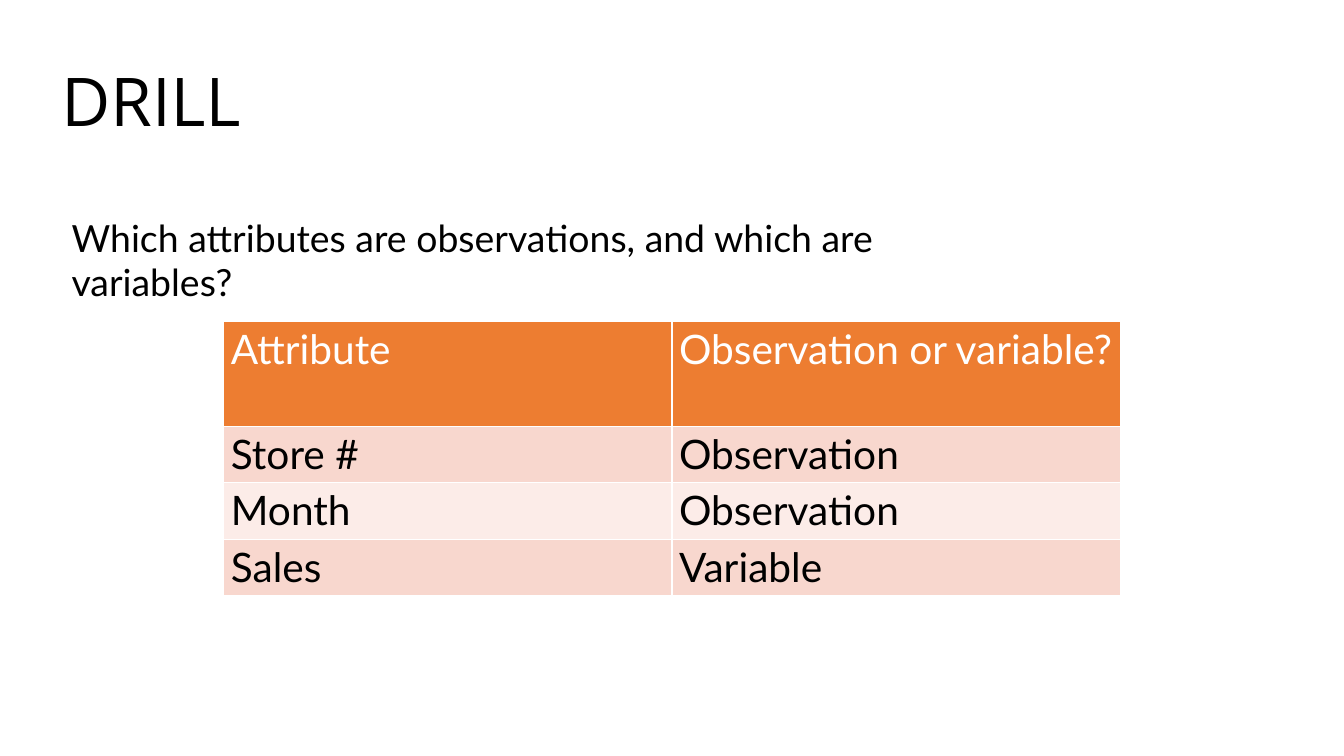
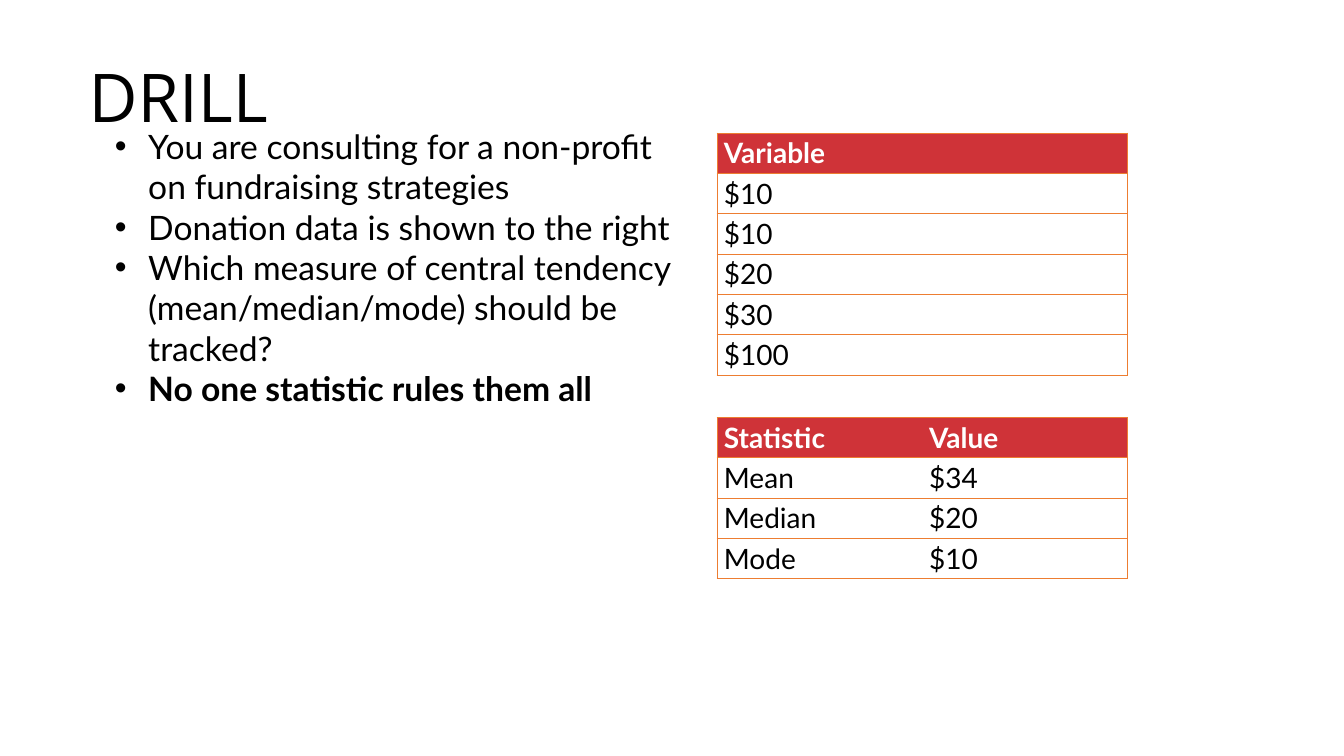
import pptx
import pptx.dml.color
import pptx.enum.text
import pptx.oxml
import pptx.oxml.ns
import pptx.util

# Shared style: 100 px to the inch
PX = 9144
BLACK, WHITE = "000000", "FFFFFF"
ORANGE, RED = "ED7D31", "CF3338"
BANDS = ("F8D7CE", "FCECE8")
HEAD_FONT, BODY_FONT = "Open Sans", "Lato"

# Content; boxes are left, top, width, height
QUESTION = ["Which attributes are observations, and which are variables?"]
POINTS = [
    "You are consulting for a non-profit on fundraising strategies",
    "Donation data is shown to the right",
    "Which measure of central tendency (mean/median/mode) should be tracked?",
    "No one statistic rules them all",
]
ATTRIBUTES = [
    ("Attribute", "Observation or variable?"),
    ("Store #", "Observation"),
    ("Month", "Observation"),
    ("Sales", "Variable"),
]
DONATIONS = [("Variable",), ("$10",), ("$10",), ("$20",), ("$30",), ("$100",)]
STATISTICS = [
    ("Statistic", "Value"),
    ("Mean", "$34"),
    ("Median", "$20"),
    ("Mode", "$10"),
]
BANDED = dict(size=29, head_fill=ORANGE, bands=BANDS, line=WHITE, weight=1,
              inner=True, head_bold=False)
RULED = dict(size=20, head_fill=RED, bands=None, line=ORANGE, weight=0.5,
             inner=False, head_bold=True)


def px(n):
    return pptx.util.Emu(round(n * PX))


def rgb(value):
    return pptx.dml.color.RGBColor.from_string(value)


def style(p, font, size, color=BLACK, bold=False):
    for r in p.runs:
        r.font.name = font
        r.font.size = pptx.util.Pt(size)
        r.font.color.rgb = rgb(color)
        r.font.bold = bold


def place(sp, box, inset=(0, 0)):
    sp.left, sp.top, sp.width, sp.height = map(px, box)
    tf = sp.text_frame
    tf.margin_left = tf.margin_right = px(inset[0])
    tf.margin_top = tf.margin_bottom = px(inset[1])
    tf.vertical_anchor = pptx.enum.text.MSO_ANCHOR.TOP
    tf.auto_size = pptx.enum.text.MSO_AUTO_SIZE.NONE
    tf.word_wrap = True
    return tf


def add_slide(prs, title_box):
    slide = prs.slides.add_slide(prs.slide_layouts[1])
    tf = place(slide.shapes.title, title_box)
    tf.text = "DRILL"
    p = tf.paragraphs[0]
    p.alignment = pptx.enum.text.PP_ALIGN.LEFT
    p.line_spacing = pptx.util.Pt(67.2)
    style(p, HEAD_FONT, 48)
    return slide


def fill_body(slide, box, lines, size, inset=(0, 0), bullets=True, bold_last=False):
    tf = place(slide.placeholders[1], box, inset)
    tf.text = "\n".join(lines)
    for p in tf.paragraphs:
        pPr = p._p.get_or_add_pPr()
        pPr.set("marL", str(px(59 if bullets else 0)))
        pPr.set("indent", str(px(-33 if bullets else 0)))
        if not bullets:
            pPr.append(pptx.oxml.parse_xml(
                f'<a:buNone {pptx.oxml.ns.nsdecls("a")}/>'))
        p.space_before = pptx.util.Pt(0)
        style(p, BODY_FONT, size)
    if bold_last:
        style(tf.paragraphs[-1], BODY_FONT, size, bold=True)


def border(cell, side, color, weight):
    paint = f'<a:solidFill><a:srgbClr val="{color}"/></a:solidFill>' if color else "<a:noFill/>"
    cell._tc.get_or_add_tcPr().append(pptx.oxml.parse_xml(
        f'<a:ln{side} {pptx.oxml.ns.nsdecls("a")} w="{pptx.util.Pt(weight)}">{paint}</a:ln{side}>'))


def add_table(slide, left, top, width, heights, rows, look):
    cols = len(rows[0])
    table = slide.shapes.add_table(len(rows), cols, px(left), px(top),
                                   px(width), px(sum(heights))).table
    table.horz_banding = False
    for i, texts in enumerate(rows):
        table.rows[i].height = px(heights[i])
        for j, text in enumerate(texts):
            cell = table.cell(i, j)
            cell.margin_left = cell.margin_right = px(7)
            cell.margin_top = cell.margin_bottom = px(3)
            # Outer edges and row rules always show; column rules are optional
            shown = {"L": look["inner"] or j == 0,
                     "R": look["inner"] or j == cols - 1,
                     "T": True, "B": True}
            for side, on in shown.items():
                border(cell, side, look["line"] if on else None, look["weight"])
            head = i == 0
            bands = look["bands"]
            fill = look["head_fill"] if head else bands and bands[(i - 1) % len(bands)]
            if fill:
                cell.fill.solid()
                cell.fill.fore_color.rgb = rgb(fill)
            else:
                cell.fill.background()
            cell.text_frame.text = text
            style(cell.text_frame.paragraphs[0], BODY_FONT, look["size"],
                  WHITE if head else BLACK, head and look["head_bold"])


def main():
    prs = pptx.Presentation()
    prs.slide_width, prs.slide_height = px(1333), px(750)

    # Observations and variables
    slide = add_slide(prs, (61, 45, 1140, 86))
    fill_body(slide, (61, 208, 939, 100), QUESTION, 26.7, inset=(10, 5), bullets=False)
    add_table(slide, 222, 319, 889, [104, 56, 56, 56], ATTRIBUTES, BANDED)

    # Central tendency
    slide = add_slide(prs, (88, 42, 233, 86))
    fill_body(slide, (88, 125, 601, 283), POINTS, 24, bold_last=True)
    for top, rows in ((132, DONATIONS), (414, STATISTICS)):
        add_table(slide, 711, top, 407, [40] * len(rows), rows, RULED)

    prs.save("out.pptx")


if __name__ == "__main__":
    main()
